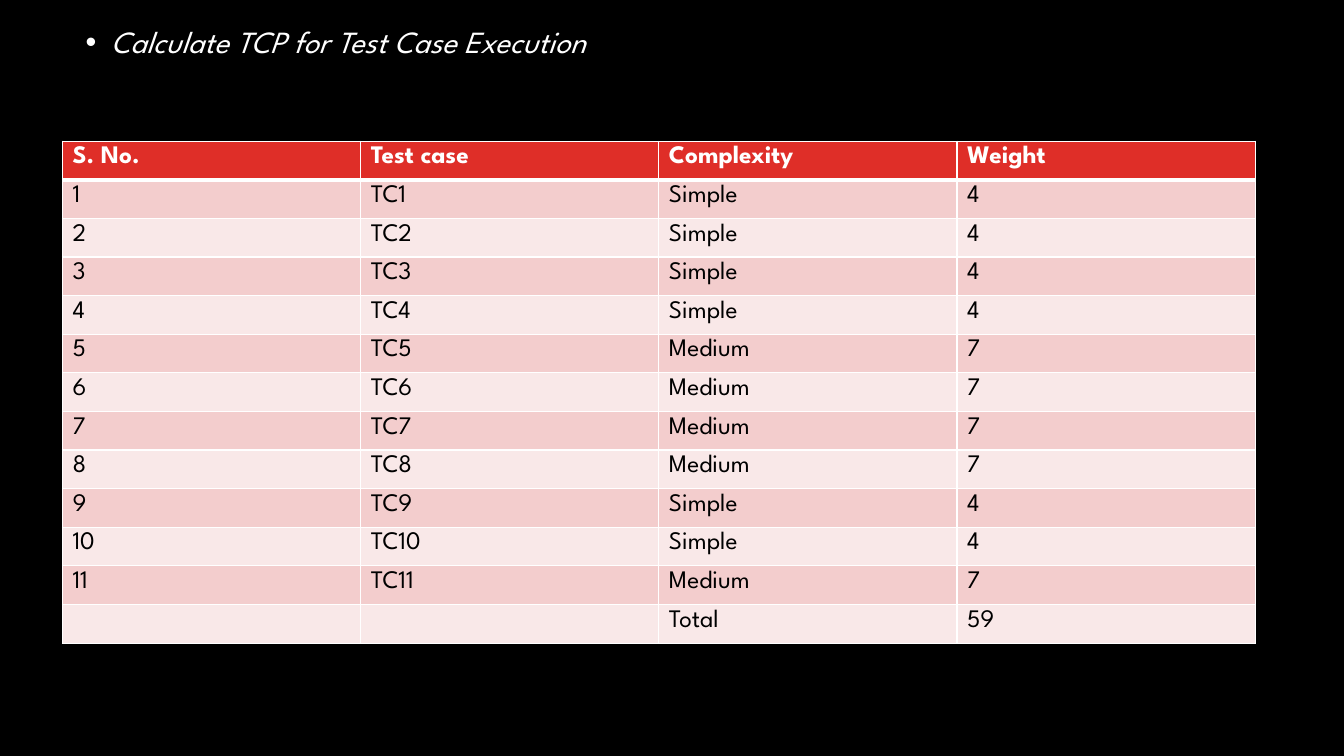
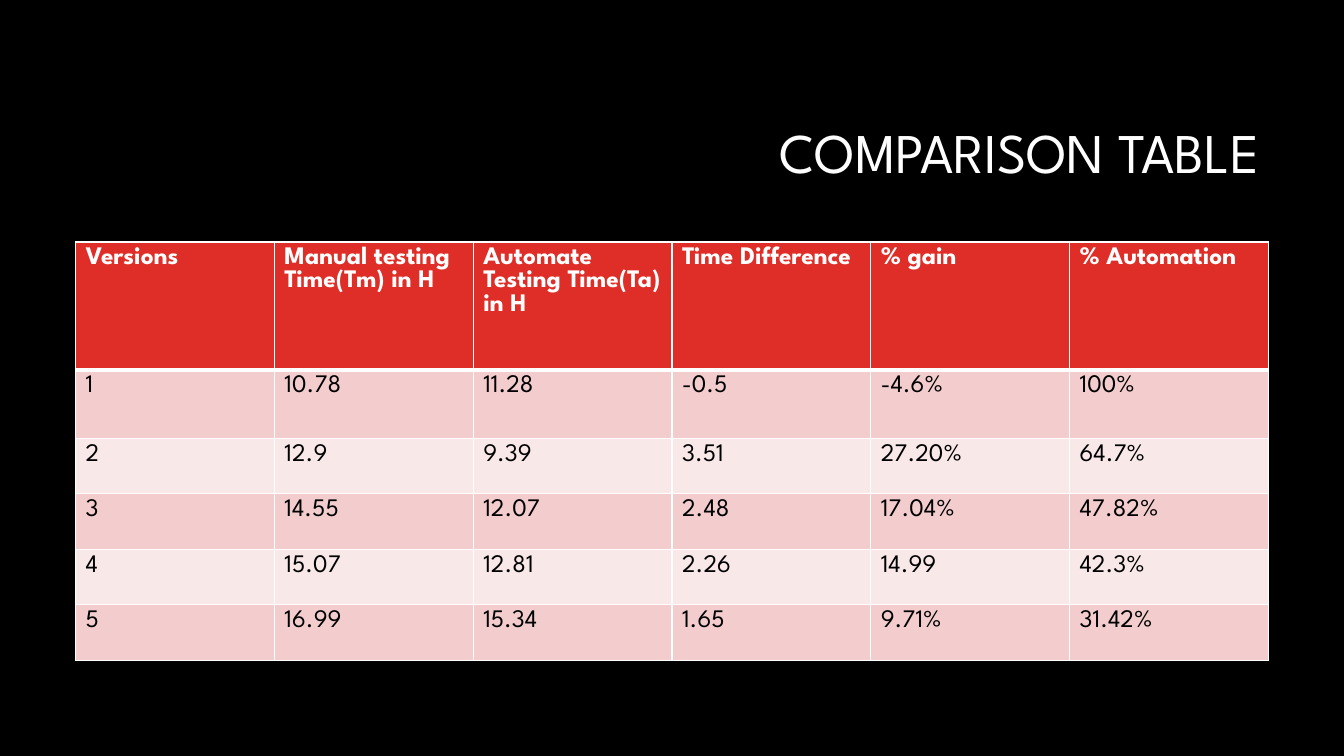
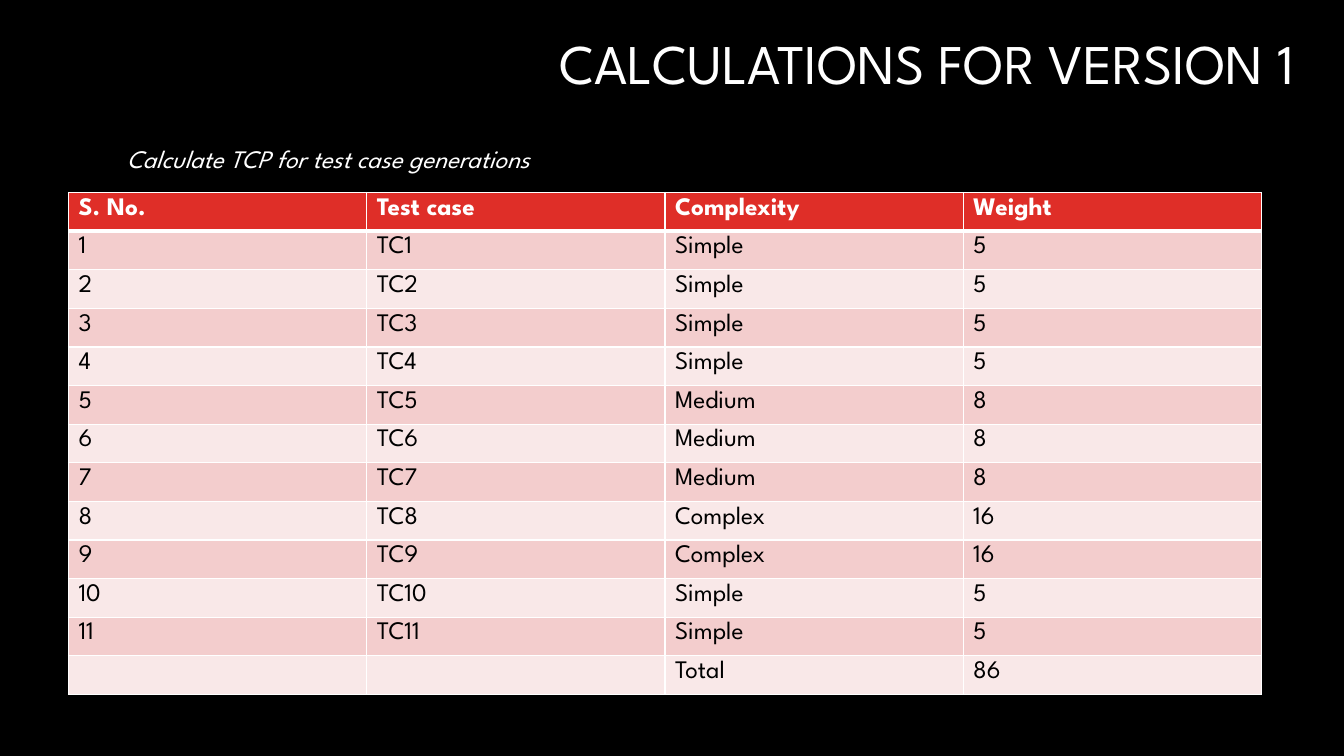
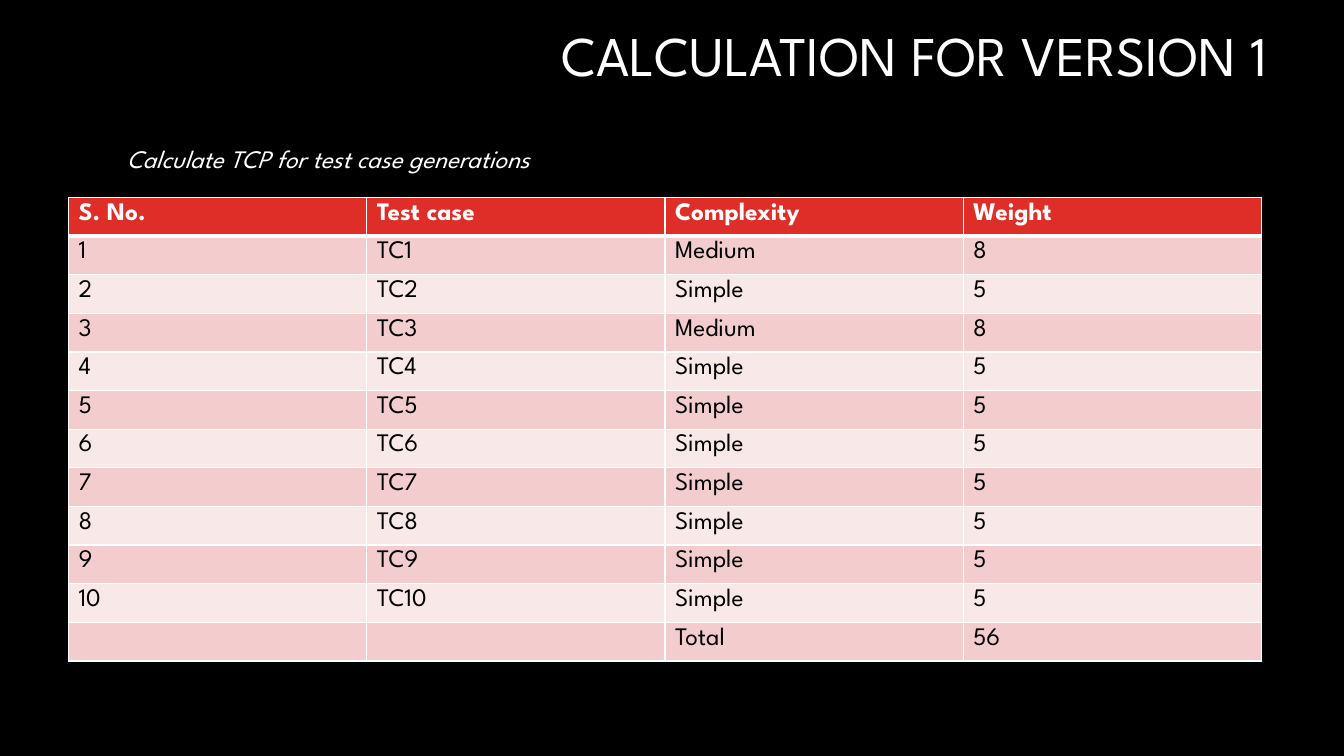
import pptx
import pptx.dml.color
import pptx.enum.text
import pptx.oxml
import pptx.oxml.ns
import pptx.text.text
import pptx.util

Inches = pptx.util.Inches
Pt = pptx.util.Pt
ALIGN = pptx.enum.text.PP_ALIGN
ANCHOR = pptx.enum.text.MSO_ANCHOR
AUTO_SIZE = pptx.enum.text.MSO_AUTO_SIZE

# Shared look
COLORS = {
    "background": "000000",
    "light": "FFFFFF",
    "dark": "000000",
    "header": "DF2E28",
    "odd_row": "F3CDCD",
    "even_row": "F9E8E8",
}
FONT = "League Spartan"
TABLE_WIDTH = 11.83
CASE_ROW_HEIGHT = 4.6 / 12
TITLE_AND_CONTENT, TITLE_ONLY = 1, 5

# Wording and values
CASE_HEADINGS = ["S. No.", "Test case", "Complexity", "Weight"]
EXECUTION_WEIGHTS = {"Simple": 4, "Medium": 7}
GENERATION_WEIGHTS = {"Simple": 5, "Medium": 8, "Complex": 16}
GENERATION_LABEL = "Calculate TCP for test case generations"
COMPARISON = [
    ["Versions", "Manual testing Time(Tm) in H", "Automate Testing Time(Ta) in H",
     "Time Difference", "% gain", "% Automation"],
    ["1", "10.78", "11.28", "-0.5", "-4.6%", "100%"],
    ["2", "12.9", "9.39", "3.51", "27.20%", "64.7%"],
    ["3", "14.55", "12.07", "2.48", "17.04%", "47.82%"],
    ["4", "15.07", "12.81", "2.26", "14.99", "42.3%"],
    ["5", "16.99", "15.34", "1.65", "9.71%", "31.42%"],
]


def rgb(name):
    return pptx.dml.color.RGBColor.from_string(COLORS[name])


def style_font(font, size, color, bold=False, italic=False):
    font.name = FONT
    font.size = Pt(size)
    font.color.rgb = rgb(color)
    font.bold = bold
    font.italic = italic


def add_run(para, text, size, color="light", **styles):
    run = para.add_run()
    run.text = text
    style_font(run.font, size, color, **styles)


def place(box, left, top, width, height):
    box.left, box.top = Inches(left), Inches(top)
    box.width, box.height = Inches(width), Inches(height)


def add_slide(deck, layout):
    return deck.slides.add_slide(deck.slide_layouts[layout])


def set_title(slide, text, left, top, height):
    title = slide.shapes.title
    place(title, left, top, 9.42, height)
    frame = title.text_frame
    frame.auto_size = AUTO_SIZE.NONE
    frame.vertical_anchor = ANCHOR.MIDDLE
    para = frame.paragraphs[0]
    para.alignment = ALIGN.RIGHT
    para.line_spacing = 0.9
    add_run(para, text, 40)


def set_bullet(slide, text):
    title = slide.shapes.title
    title.element.getparent().remove(title.element)
    body = slide.placeholders[1]
    place(body, 0.75, 0.22, 11.83, 6.58)
    body.text_frame.auto_size = AUTO_SIZE.NONE
    para = body.text_frame.paragraphs[0]
    para.line_spacing = 0.9
    para.space_before = Pt(10)
    # Hanging indent with a round bullet
    props = para._p.get_or_add_pPr()
    props.set("marL", str(Inches(0.25)))
    props.set("indent", str(Inches(-0.25)))
    pptx.oxml.ns.qn("a:buChar")
    bullet = pptx.oxml.parse_xml(
        f'<a:buChar {pptx.oxml.ns.nsdecls("a")} char="•"/>')
    props.append(bullet)
    add_run(para, text, 22, italic=True)


def add_label(slide, text):
    box = slide.shapes.add_textbox(
        Inches(1.16), Inches(1.37), Inches(5.04), Inches(0.4))
    box.text_frame.word_wrap = False
    box.text_frame.auto_size = AUTO_SIZE.SHAPE_TO_FIT_TEXT
    add_run(box.text_frame.paragraphs[0], text, 18, italic=True)


def set_borders(cell, top, bottom):
    props = cell._tc.get_or_add_tcPr()
    for side, width in (("L", 1), ("R", 1), ("T", top), ("B", bottom)):
        props.append(pptx.oxml.parse_xml(
            f'<a:ln{side} {pptx.oxml.ns.nsdecls("a")} w="{Pt(width)}">'
            f'<a:solidFill><a:srgbClr val="{COLORS["light"]}"/></a:solidFill>'
            f'</a:ln{side}>'))


def fill_cell(cell, text, row_index):
    is_header = row_index == 0
    # The rule under the header is shared by the first two rows
    set_borders(cell, 3 if row_index == 1 else 1, 3 if is_header else 1)
    cell.fill.solid()
    band = "odd_row" if row_index % 2 else "even_row"
    cell.fill.fore_color.rgb = rgb("header" if is_header else band)
    color = "light" if is_header else "dark"
    para = cell.text_frame.paragraphs[0]
    if text:
        add_run(para, text, 18, color, bold=is_header)
    else:
        end_props = para._p.get_or_add_endParaRPr()
        style_font(pptx.text.text.Font(end_props), 18, color)


def add_grid(slide, rows, left, top, heights):
    column_count = len(rows[0])
    table = slide.shapes.add_table(
        len(rows), column_count, Inches(left), Inches(top),
        Inches(TABLE_WIDTH), Inches(sum(heights))).table
    for column in table.columns:
        column.width = Inches(TABLE_WIDTH / column_count)
    for row_index, (texts, height) in enumerate(zip(rows, heights)):
        table.rows[row_index].height = Inches(height)
        for column_index, text in enumerate(texts):
            fill_cell(table.cell(row_index, column_index), text, row_index)


def add_case_grid(slide, complexities, weights, left, top):
    rows = [CASE_HEADINGS]
    for number, complexity in enumerate(complexities, start=1):
        rows.append([str(number), f"TC{number}", complexity,
                     str(weights[complexity])])
    total = sum(weights[complexity] for complexity in complexities)
    rows.append(["", "", "Total", str(total)])
    add_grid(slide, rows, left, top, [CASE_ROW_HEIGHT] * len(rows))


def main():
    deck = pptx.Presentation()
    deck.slide_width, deck.slide_height = Inches(13.33), Inches(7.5)
    background = deck.slide_master.background.fill
    background.solid()
    background.fore_color.rgb = rgb("background")

    # Test case execution
    slide = add_slide(deck, TITLE_AND_CONTENT)
    set_bullet(slide, "Calculate TCP for Test Case Execution")
    execution = (["Simple"] * 4 + ["Medium"] * 4 + ["Simple"] * 2 + ["Medium"])
    add_case_grid(slide, execution, EXECUTION_WEIGHTS, 0.62, 1.4)

    # Comparison of versions
    slide = add_slide(deck, TITLE_ONLY)
    set_title(slide, "COMPARISON TABLE", 3.17, 0.84, 1.41)
    add_grid(slide, COMPARISON, 0.75, 2.4, [1.27, 0.68] + [0.55] * 4)

    # Test case generation, eleven cases
    slide = add_slide(deck, TITLE_ONLY)
    set_title(slide, "CALCULATIONS FOR VERSION 1", 3.52, 0.16, 0.99)
    generation = (["Simple"] * 4 + ["Medium"] * 3 + ["Complex"] * 2
                  + ["Simple"] * 2)
    add_case_grid(slide, generation, GENERATION_WEIGHTS, 0.68, 1.91)
    add_label(slide, GENERATION_LABEL)

    # Test case generation, ten cases
    slide = add_slide(deck, TITLE_ONLY)
    set_title(slide, "CALCULATION FOR VERSION 1", 3.25, 0, 1.16)
    generation = ["Medium", "Simple", "Medium"] + ["Simple"] * 7
    add_case_grid(slide, generation, GENERATION_WEIGHTS, 0.68, 1.96)
    add_label(slide, GENERATION_LABEL)

    deck.save("out.pptx")


if __name__ == "__main__":
    main()
